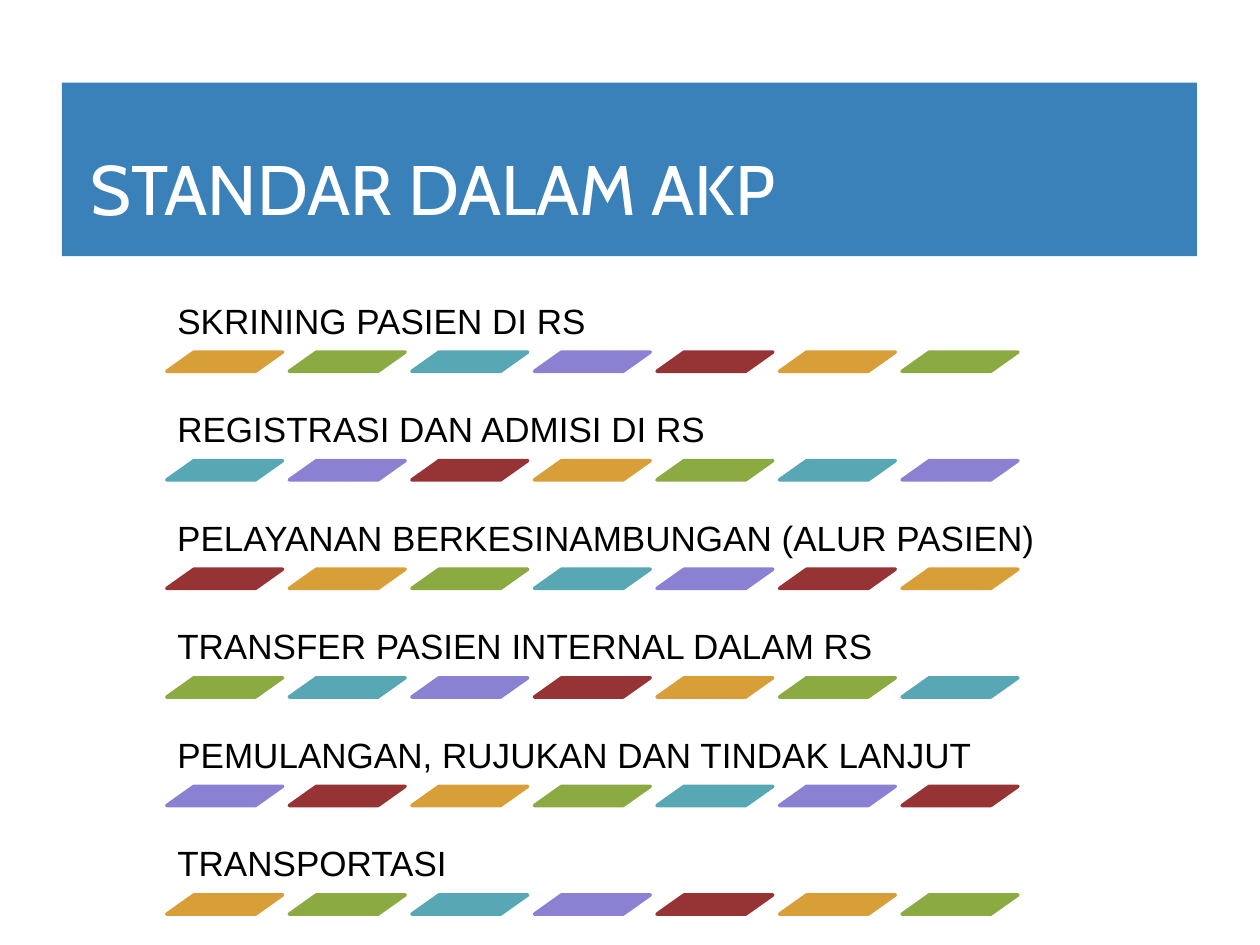
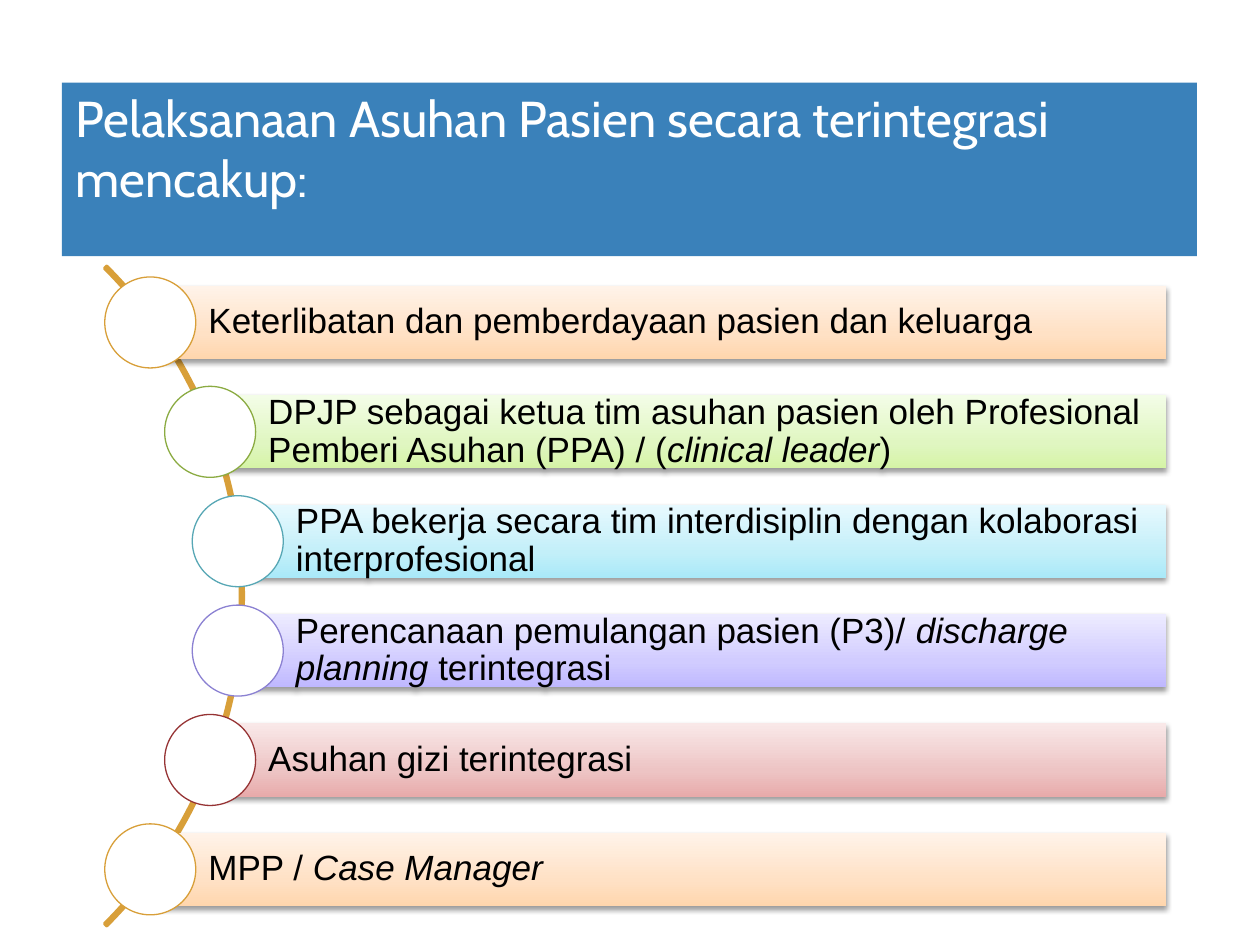
from copy import deepcopy
from dataclasses import dataclass

from pptx import Presentation
from pptx.dml.color import RGBColor
from pptx.enum.shapes import MSO_SHAPE
from pptx.enum.text import MSO_ANCHOR, MSO_AUTO_SIZE, PP_ALIGN
from pptx.oxml import parse_xml
from pptx.oxml.ns import nsdecls, qn
from pptx.util import Pt

RECTANGLE = MSO_SHAPE.RECTANGLE
PARALLELOGRAM = MSO_SHAPE.PARALLELOGRAM
OVAL = MSO_SHAPE.OVAL
BLOCK_ARC = MSO_SHAPE.BLOCK_ARC
BOTTOM = MSO_ANCHOR.BOTTOM
MIDDLE = MSO_ANCHOR.MIDDLE
LEFT = PP_ALIGN.LEFT
NO_AUTOFIT = MSO_AUTO_SIZE.NONE

TITLE_FONT, BODY_FONT = "Cabin", "Arial"
BLUE, WHITE, BLACK = "3A81BA", "FFFFFF", "000000"
ORANGE, GREEN, TEAL, PURPLE, RED = ACCENTS = ("D89F39", "8BAB42", "57A7B5", "8B81D2", "963334")
TITLE_ONLY = 5
BAND_ID = 20
GRADIENT_POSITIONS = (0, 0.35, 1)
ORANGE_TINTS = ("FFD6AD", "FFE1C5", "FFF3E9")
BODY_SIZE = 20


@dataclass(frozen=True)
class Box:
    left: float
    top: float
    width: float
    height: float

    def lengths(self):
        return Pt(self.left), Pt(self.top), Pt(self.width), Pt(self.height)


@dataclass(frozen=True)
class Standard:
    text: str
    width: float = 496.1


@dataclass(frozen=True)
class Aspect:
    left: float
    accent: str
    tints: tuple[str, str, str]
    pieces: tuple[str, ...]


STANDARDS = (
    Standard("SKRINING PASIEN DI RS"),
    Standard("REGISTRASI DAN ADMISI DI RS"),
    Standard("PELAYANAN BERKESINAMBUNGAN (ALUR PASIEN)", 523.4),
    Standard("TRANSFER PASIEN INTERNAL DALAM RS"),
    Standard("PEMULANGAN, RUJUKAN DAN TINDAK LANJUT"),
    Standard("TRANSPORTASI"),
)

ASPECTS = (
    Aspect(85.9, ORANGE, ORANGE_TINTS, ("Keterlibatan dan pemberdayaan pasien dan keluarga",)),
    Aspect(120.1, GREEN, ("D5F4A6", "E0F6C1", "F3FDE7"), (
        "DPJP sebagai ketua tim asuhan pasien oleh Profesional Pemberi Asuhan (PPA) / (",
        "clinical leader", ")")),
    Aspect(135.9, TEAL, ("A9E9F9", "C3EFF9", "E7F9FE"), (
        "PPA bekerja secara tim interdisiplin dengan kolaborasi interprofesional",)),
    Aspect(135.9, PURPLE, ("BFB8FF", "D1CCFF", "EDEBFF"), (
        "Perencanaan pemulangan pasien (P3)/ ", "discharge planning ", "terintegrasi")),
    Aspect(120.1, RED, ("E8AAAA", "EDC4C4", "F9E8E8"), ("Asuhan gizi terintegrasi",)),
    Aspect(85.9, ORANGE, ORANGE_TINTS, ("MPP / ", "Case Manager")),
)


def colour(hex_string: str) -> RGBColor:
    return RGBColor.from_string(hex_string)


def add_preset(slide, preset, box: Box, fill: str | None = None,
               line: str | None = None, line_width: float = 2):
    shape = slide.shapes.add_shape(preset, *box.lengths())
    shape.shadow.inherit = False
    if fill:
        shape.fill.solid()
        shape.fill.fore_color.rgb = colour(fill)
    else:
        shape.fill.background()
    if line:
        shape.line.color.rgb = colour(line)
        shape.line.width = Pt(line_width)
    else:
        shape.line.fill.background()
    return shape


def set_frame(text_frame, anchor, inset: float, left_inset: float | None = None) -> None:
    text_frame.word_wrap = True
    text_frame.auto_size = NO_AUTOFIT
    text_frame.vertical_anchor = anchor
    text_frame.margin_left = Pt(inset if left_inset is None else left_inset)
    text_frame.margin_top = text_frame.margin_right = text_frame.margin_bottom = Pt(inset)


def format_paragraph(paragraph, font_name: str, size: float, text_colour: str) -> None:
    paragraph.alignment = LEFT
    for run in paragraph.runs:
        run.font.name = font_name
        run.font.size = Pt(size)
        run.font.color.rgb = colour(text_colour)


def add_titled_slide(presentation, title: str, box: Box, size: float):
    slide = presentation.slides.add_slide(presentation.slide_layouts[TITLE_ONLY])
    placeholder = slide.shapes.title
    placeholder.left, placeholder.top, placeholder.width, placeholder.height = box.lengths()
    text_frame = placeholder.text_frame
    text_frame.text = title
    set_frame(text_frame, BOTTOM, 7.2)
    format_paragraph(text_frame.paragraphs[0], TITLE_FONT, size, WHITE)
    return slide


def move_band_to_layout(slide) -> None:
    band = add_preset(slide, RECTANGLE, Box(35.4, 47.3, 648.6, 99.1), BLUE)
    band.element.nvSpPr.cNvPr.id = BAND_ID
    slide.slide_layout.placeholders[0].element.addprevious(band.element)


def add_standard(slide, row: int, standard: Standard) -> None:
    left, row_pitch, dash_pitch, dash_count = 95.3, 62.04, 70.03, 7
    top = 156 + row * row_pitch
    text_box = slide.shapes.add_textbox(*Box(left, top, standard.width, 45.2).lengths())
    text_frame = text_box.text_frame
    text_frame.text = standard.text
    set_frame(text_frame, BOTTOM, 6)
    paragraph = text_frame.paragraphs[0]
    paragraph.line_spacing = 0.9
    format_paragraph(paragraph, BODY_FONT, BODY_SIZE, BLACK)
    for column in range(dash_count):
        accent = ACCENTS[(row * dash_count + column) % len(ACCENTS)]
        box = Box(left + column * dash_pitch, top + 45.2, 66.2, 11)
        dash = add_preset(slide, PARALLELOGRAM, box, accent, accent)
        dash.adjustments[0] = 1.41


def set_gradient(shape, tints: tuple[str, str, str]) -> None:
    shape.fill.gradient()
    shape.fill.gradient_angle = 90
    stop_list = shape.element.spPr.find(".//" + qn("a:gsLst"))
    stop_list.insert(1, deepcopy(stop_list[0]))
    for stop, position, tint in zip(shape.fill.gradient_stops, GRADIENT_POSITIONS, tints):
        stop.position = position
        stop.color.rgb = colour(tint)


def add_shadow(shape) -> None:
    shape.element.spPr.find(qn("a:effectLst")).append(parse_xml(
        f'<a:outerShdw {nsdecls("a")} blurRad="{Pt(3.1)}" dist="{Pt(1.6)}" dir="5400000" '
        f'rotWithShape="0"><a:srgbClr val="{BLACK}"><a:alpha val="38000"/></a:srgbClr>'
        '</a:outerShdw>'))


def add_aspect(slide, row: int, aspect: Aspect) -> None:
    right, bar_height, diameter = 666.4, 41.8, 52
    centre = 184.3 + row * 62.5
    bar = add_preset(slide, RECTANGLE, Box(
        aspect.left, centre - bar_height / 2, right - aspect.left, bar_height))
    set_gradient(bar, aspect.tints)
    add_shadow(bar)
    set_frame(bar.text_frame, MIDDLE, 4, 33.2)
    paragraph = bar.text_frame.paragraphs[0]
    paragraph.line_spacing = 0.9
    for index, piece in enumerate(aspect.pieces):
        run = paragraph.add_run()
        run.text = piece
        run.font.italic = index % 2 == 1
    format_paragraph(paragraph, BODY_FONT, BODY_SIZE, BLACK)
    add_preset(slide, OVAL, Box(
        aspect.left - diameter / 2, centre - diameter / 2, diameter, diameter),
        WHITE, aspect.accent, 0.75)


def build_standards_slide(presentation) -> None:
    slide = add_titled_slide(presentation, "STANDAR DALAM AKP", Box(44.6, 36, 573.8, 102.2), 40)
    move_band_to_layout(slide)
    for row, standard in enumerate(STANDARDS):
        add_standard(slide, row, standard)


def build_aspects_slide(presentation) -> None:
    slide = add_titled_slide(
        presentation, "Pelaksanaan Asuhan Pasien secara terintegrasi mencakup:",
        Box(36, 41.8, 648, 84.2), 28.8)
    arc = add_preset(slide, BLOCK_ARC, Box(-393.8, 74.2, 532.8, 532.8), line=ORANGE)
    for index, value in enumerate((189, 27, 0.003)):
        arc.adjustments[index] = value
    for row, aspect in enumerate(ASPECTS):
        add_aspect(slide, row, aspect)


def main() -> None:
    presentation = Presentation()
    presentation.slide_width, presentation.slide_height = Pt(720), Pt(540)
    build_standards_slide(presentation)
    build_aspects_slide(presentation)
    presentation.save("out.pptx")


if __name__ == "__main__":
    main()
